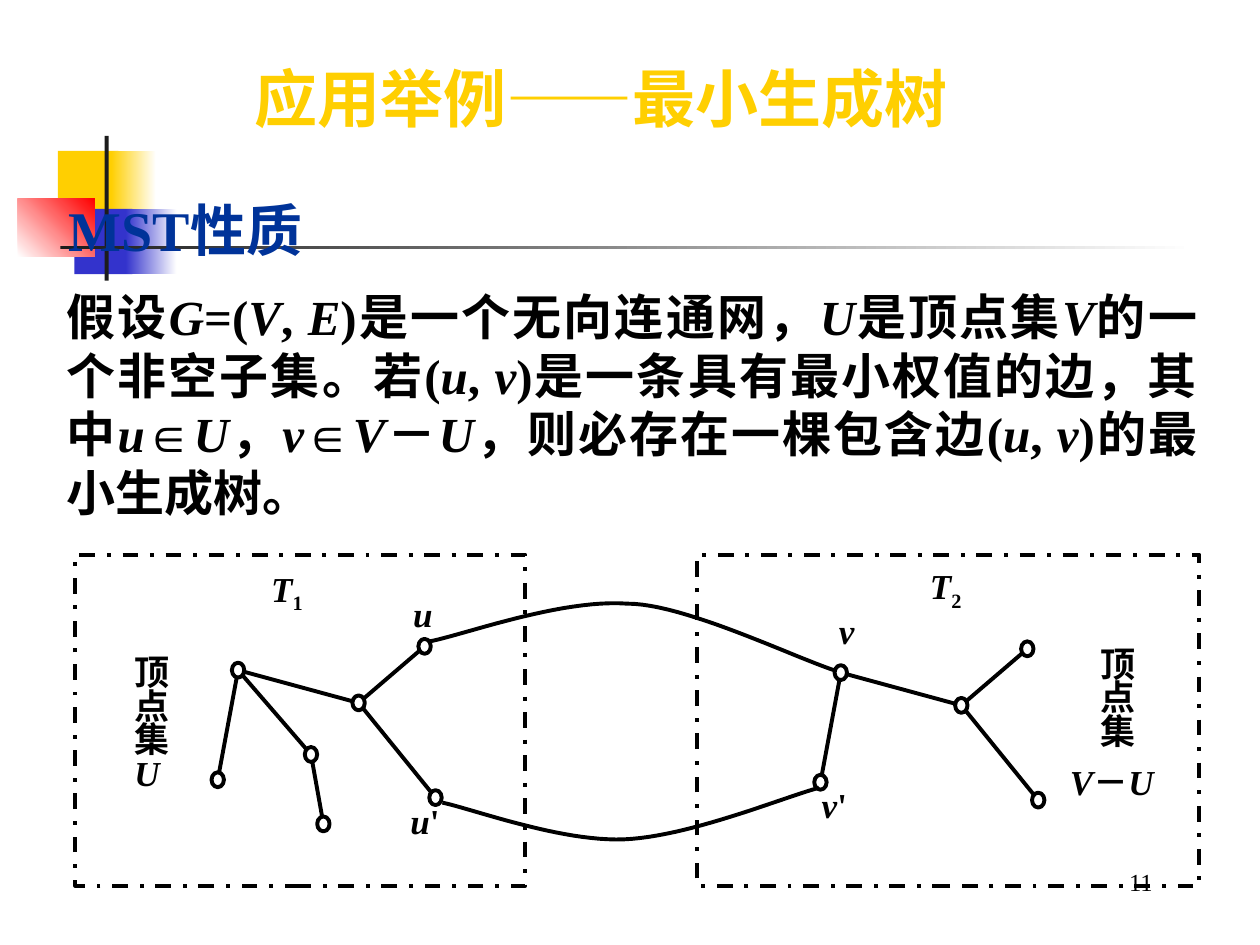
from math import hypot

from lxml.etree import SubElement
from pptx import Presentation
from pptx.dml.color import RGBColor
from pptx.enum.dml import MSO_LINE
from pptx.enum.shapes import MSO_CONNECTOR, MSO_SHAPE
from pptx.enum.text import MSO_ANCHOR, MSO_AUTO_SIZE, PP_ALIGN
from pptx.oxml import parse_xml
from pptx.oxml.ns import nsdecls, qn
from pptx.util import Cm, Pt

COLORS = {
    "gold": "FFCF01",
    "blue": "3333CC",
    "red": "FF0000",
    "white": "FFFFFF",
    "charcoal": "1C1C1C",
    "heading": "003399",
    "black": "000000",
}
LATIN, EAST_ASIAN = "Times New Roman", "Noto Sans CJK SC"
NODE_W, NODE_H = 0.25, 0.3
EDGE_TRIM = 0.14
NODES = {
    "upper": (4.3, 0.15),
    "lower": (4.52, 3.2),
    "hub": (2.97, 1.29),
    "leaf": (0.13, 2.84),
    "root": (0.54, 0.63),
    "middle": (2.01, 2.33),
    "bottom": (2.26, 3.73),
}
SHARED_EDGES = [("upper", "hub"), ("hub", "lower"), ("root", "leaf"), ("root", "hub")]
EXTRA_EDGES = [("root", "middle"), ("middle", "bottom")]


def rgb(name):
    """Return the palette colour called name."""
    return RGBColor.from_string(COLORS[name])


def write(frame, text, size, color="black", bold=True, align=PP_ALIGN.LEFT,
          before=0, spacing=1.0, margins=(0.25, 0.13), subscript=""):
    """Fill a frame with one paragraph in which *stars* enclose italics."""
    frame.word_wrap = True
    frame.auto_size = MSO_AUTO_SIZE.NONE
    frame.vertical_anchor = MSO_ANCHOR.TOP
    frame.margin_left = frame.margin_right = Cm(margins[0])
    frame.margin_top = frame.margin_bottom = Cm(margins[1])
    paragraph = frame.paragraphs[0]
    paragraph.alignment = align
    paragraph.space_before = Pt(before)
    paragraph.line_spacing = spacing
    pieces = [(part, i % 2 == 1) for i, part in enumerate(text.split("*")) if part]
    if subscript:
        pieces.append((subscript, False))
    for part, italic in pieces:
        run = paragraph.add_run()
        run.text = part
        font = run.font
        font.size, font.bold, font.italic, font.name = Pt(size), bold, italic, LATIN
        font.color.rgb = rgb(color)
        SubElement(run._r.get_or_add_rPr(), qn("a:ea"), typeface=EAST_ASIAN)
    if subscript:
        run._r.get_or_add_rPr().set("baseline", "-25000")
    return paragraph


def place(part, box):
    """Move a part to a box given in centimetres."""
    part.left, part.top, part.width, part.height = map(Cm, box)


def add_text(slide, box, text, size, **style):
    """Add a text box holding one styled paragraph."""
    frame = slide.shapes.add_textbox(*map(Cm, box)).text_frame
    write(frame, text, size, **style)


def add_ornament(slide, box):
    """Draw the coloured squares and the crossing rules."""
    left, top, width, height = box
    blocks = [
        (0.81, 0.3, 1.22, 1.32, "gold", None, 0),
        (1.88, 0.3, 0.91, 1.32, "gold", "white", 0),
        (1.14, 1.47, 1.17, 1.32, "blue", None, 0),
        (2.18, 1.47, 1.02, 1.32, "blue", "white", 0),
        (0, 1.27, 1.55, 1.17, "white", "red", 45),
        (1.75, 0, 0.08, height, "charcoal", None, 0),
        (0.86, 2.21, width - 0.86, 0.08, "charcoal", "white", 0),
    ]
    for x, y, w, h, start, end, angle in blocks:
        block = slide.shapes.add_shape(
            MSO_SHAPE.RECTANGLE, Cm(left + x), Cm(top + y), Cm(w), Cm(h))
        block.shadow.inherit = False
        block.line.fill.background()
        if end:
            block.fill.gradient()
            block.fill.gradient_angle = angle
            for stop, name in zip(block.fill.gradient_stops, (start, end)):
                stop.color.rgb = rgb(name)
        else:
            block.fill.solid()
            block.fill.fore_color.rgb = rgb(start)


def fill_title(title, box):
    """Place the title and give its letters a dark shadow."""
    place(title, box)
    paragraph = write(title.text_frame, "应用举例——最小生成树", 36, "gold", before=22.5)
    shadow = parse_xml(
        f'<a:effectLst {nsdecls("a")}><a:outerShdw dist="35921" dir="2700000">'
        f'<a:srgbClr val="{COLORS["black"]}"/></a:outerShdw></a:effectLst>')
    paragraph.runs[0]._r.rPr.find(qn("a:solidFill")).addnext(shadow)


def fill_statement(body, box):
    """Place the MST property as an unbulleted paragraph."""
    place(body, box)
    paragraph = write(
        body.text_frame,
        "假设*G*=(*V*, *E*)是一个无向连通网，*U*是顶点集*V*的一个非空子集。"
        "若(*u*, *v*)是一条具有最小权值的边，其中*u*∈*U*，*v*∈*V*－*U*，"
        "则必存在一棵包含边(*u*, *v*)的最小生成树。",
        28, align=PP_ALIGN.JUSTIFY, before=17.5)
    properties = paragraph._p.get_or_add_pPr()
    properties.set("marL", "0")
    properties.set("indent", "0")
    SubElement(properties, qn("a:buNone"))


def outline(part):
    """Give a shape a black outline with neither fill nor shadow."""
    part.shadow.inherit = False
    part.fill.background()
    part.line.color.rgb = rgb("black")
    part.line.width = Pt(2.25)


def add_edge(slide, start, end):
    """Join two node centres, stopping at the rims of the nodes."""
    (x1, y1), (x2, y2) = start, end
    length = hypot(x2 - x1, y2 - y1)
    dx, dy = (x2 - x1) * EDGE_TRIM / length, (y2 - y1) * EDGE_TRIM / length
    edge = slide.shapes.add_connector(
        MSO_CONNECTOR.STRAIGHT, Cm(x1 + dx), Cm(y1 + dy), Cm(x2 - dx), Cm(y2 - dy))
    edge.line.color.rgb = rgb("black")
    edge.line.width = Pt(2.25)
    SubElement(edge._element.spPr, qn("a:effectLst"))


def add_tree(slide, box, tree_offset, edges, labels):
    """Draw a dashed vertex set with its tree and labels."""
    left, top = box[:2]
    border = slide.shapes.add_shape(MSO_SHAPE.RECTANGLE, *map(Cm, box))
    outline(border)
    border.line.dash_style = MSO_LINE.DASH_DOT
    centres = {
        name: (left + tree_offset[0] + NODES[name][0], top + tree_offset[1] + NODES[name][1])
        for edge in edges for name in edge}
    for start, end in edges:
        add_edge(slide, centres[start], centres[end])
    for x, y in centres.values():
        outline(slide.shapes.add_shape(
            MSO_SHAPE.OVAL, Cm(x - NODE_W / 2), Cm(y - NODE_H / 2), Cm(NODE_W), Cm(NODE_H)))
    for (x, y, w, h), text, subscript, align, spacing in labels:
        add_text(slide, (left + x, top + y, w, h), text, 20, align=align,
                 spacing=spacing, margins=(0, 0), subscript=subscript)


def bezier(p0, p1, p2, p3, steps=24):
    """Return points along a cubic curve, without its start."""
    curve = []
    for step in range(1, steps + 1):
        t = step / steps
        weights = ((1 - t) ** 3, 3 * t * (1 - t) ** 2, 3 * t * t * (1 - t), t ** 3)
        curve.append(tuple(
            sum(w * p[axis] for w, p in zip(weights, (p0, p1, p2, p3))) for axis in (0, 1)))
    return curve


def add_bridge(slide, corner, controls):
    """Draw a two-part curve linking the trees."""
    points = [(corner[0] + x, corner[1] + y) for x, y in controls]
    curve = bezier(*points[:4]) + bezier(*points[3:])
    builder = slide.shapes.build_freeform(Cm(points[0][0]), Cm(points[0][1]))
    builder.add_line_segments([(Cm(x), Cm(y)) for x, y in curve], close=False)
    outline(builder.convert_to_shape())


def main():
    """Build the minimum spanning tree slide."""
    deck = Presentation()
    deck.slide_width, deck.slide_height = Cm(25.4), Cm(19.05)
    slide = deck.slides.add_slide(deck.slide_layouts[1])
    center, justify = PP_ALIGN.CENTER, PP_ALIGN.JUSTIFY
    add_ornament(slide, (0.36, 2.74, 23.72, 2.92))
    fill_title(slide.shapes.title, (4.88, 1.07, 16.21, 1.78))
    add_text(slide, (1.14, 3.81, 7.82, 1.63), "MST性质", 32, color="heading", before=20)
    fill_statement(slide.placeholders[1], (1.09, 5.64, 23.29, 5))
    add_tree(slide, (1.52, 11.18, 9.07, 6.68), (2.74, 1.7), SHARED_EDGES + EXTRA_EDGES, [
        ((1.19, 2.1, 0.86, 2.79), "顶点集*U*", "", justify, 0.8),
        ((6.68, 5.28, 0.74, 0.53), "*u*'", "", center, 0.54),
        ((6.65, 0.99, 0.71, 0.64), "*u*", "", center, 0.72),
        ((3.53, 0.48, 1.47, 0.64), "*T*", "1", center, 0.62),
    ])
    add_tree(slide, (14.05, 11.18, 10.13, 6.68), (2.36, 1.75), SHARED_EDGES, [
        ((7.52, 4.22, 2.69, 0.86), "*V*－*U*", "", justify, 0.94),
        ((2.64, 1.4, 0.76, 0.58), "*v*", "", center, 0.62),
        ((2.34, 4.83, 0.86, 0.64), "*v*'", "", center, 0.72),
        ((8.13, 1.93, 0.72, 2.13), "顶点集", "", justify, 0.8),
        ((4.29, 0.43, 1.45, 0.64), "*T*", "2", center, 0.62),
    ])
    add_bridge(slide, (8.66, 12.07), [
        (0, 0.86), (0.66, 0.74), (2.64, 0), (3.99, 0.1), (5.13, 0.1), (7.32, 1.17), (8.18, 1.45)])
    add_bridge(slide, (8.92, 15.88), [
        (0, 0.3), (0.61, 0.43), (2.39, 1.09), (3.66, 1.04), (4.93, 0.99), (6.78, 0.23), (7.59, 0)])
    add_text(slide, (18.21, 17.35, 5.28, 1.27), "11", 14, bold=False, align=PP_ALIGN.RIGHT)
    deck.save("out.pptx")


if __name__ == "__main__":
    main()
